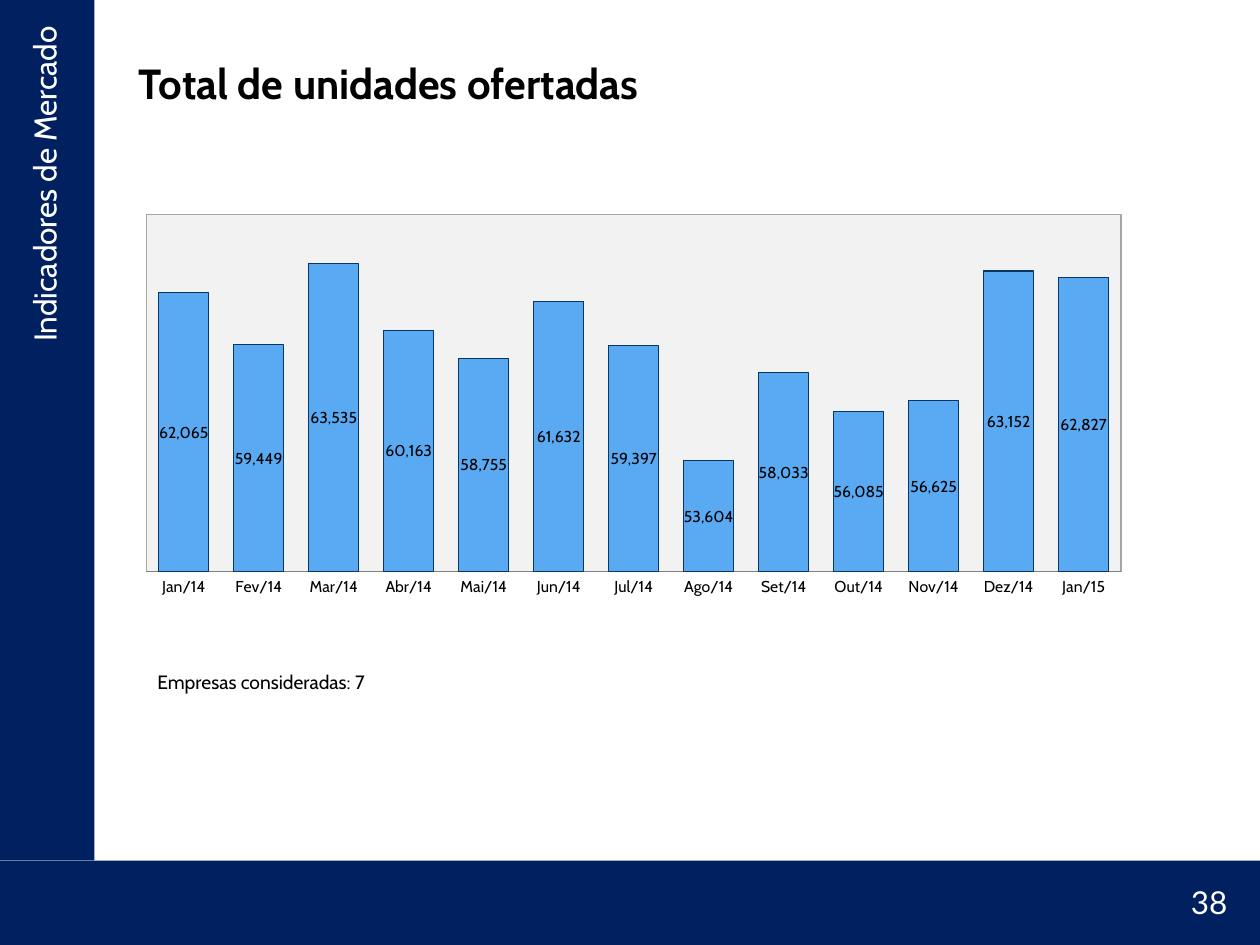
from dataclasses import dataclass

from lxml import etree
from pptx import Presentation
from pptx import util as u
from pptx.chart.data import CategoryChartData
from pptx.dml.color import RGBColor
from pptx.enum import chart as ch, shapes, text
from pptx.oxml.ns import qn

NAVY, WHITE, BLACK, GREY = "002060", "FFFFFF", "000000", "A6A6A6"
MONTHS = ["Jan/14", "Fev/14", "Mar/14", "Abr/14", "Mai/14", "Jun/14", "Jul/14",
          "Ago/14", "Set/14", "Out/14", "Nov/14", "Dez/14", "Jan/15"]
UNITS = [62065, 59449, 63535, 60163, 58755, 61632, 59397,
         53604, 58033, 56085, 56625, 63152, 62827]


@dataclass
class Box:
    left: float
    top: float
    width: float
    height: float

    def emu(self) -> list:
        return [u.Inches(v) for v in (self.left, self.top, self.width, self.height)]


@dataclass
class Label:
    box: Box
    text: str
    size: int
    color: str = BLACK
    font: str = "Cabin"
    align: text.PP_ALIGN = text.PP_ALIGN.LEFT
    rotation: int = 0
    wrap: bool = True


def rgb(color: str) -> RGBColor:
    return RGBColor.from_string(color)


def set_fill(fill, color: str) -> None:
    fill.solid()
    fill.fore_color.rgb = rgb(color)


def set_line(line, color: str) -> None:
    set_fill(line.fill, color)
    line.width = u.Pt(0.75)


def set_font(font, size: int, color: str = BLACK, name: str = "Cabin") -> None:
    font.size = u.Pt(size)
    font.name = name
    font.color.rgb = rgb(color)


def add_band(slide, box: Box) -> None:
    sp = slide.shapes.add_shape(shapes.MSO_SHAPE.RECTANGLE, *box.emu())
    sp.shadow.inherit = False
    set_fill(sp.fill, NAVY)
    sp.line.fill.background()


def add_label(slide, label: Label) -> None:
    sp = slide.shapes.add_textbox(*label.box.emu())
    sp.rotation = label.rotation
    tf = sp.text_frame
    tf.word_wrap = label.wrap
    p = tf.paragraphs[0]
    p.alignment = label.align
    r = p.add_run()
    r.text = label.text
    set_font(r.font, label.size, label.color, label.font)


def set_title(slide, box: Box, title: str) -> None:
    sp = slide.shapes.title
    sp.left, sp.top, sp.width, sp.height = box.emu()
    tf = sp.text_frame
    tf.vertical_anchor = text.MSO_ANCHOR.MIDDLE
    p = tf.paragraphs[0]
    p.alignment = text.PP_ALIGN.LEFT
    r = p.add_run()
    r.text = title
    set_font(r.font, 24)
    r.font.bold = True


def format_plot_area(chart, box: Box) -> None:
    """Place the inner plot area by chart fractions, with grey fill and border."""
    area = chart._chartSpace.chart.plotArea
    for old in area.findall(qn("c:layout")):
        area.remove(old)
    layout = etree.Element(qn("c:layout"))
    area.insert(0, layout)
    manual = etree.SubElement(layout, qn("c:manualLayout"))
    settings = [("layoutTarget", "inner"), ("xMode", "edge"), ("yMode", "edge"),
                ("x", box.left), ("y", box.top), ("w", box.width), ("h", box.height)]
    for tag, value in settings:
        etree.SubElement(manual, qn(f"c:{tag}")).set("val", str(value))
    props = etree.SubElement(area, qn("c:spPr"))
    line = etree.Element(qn("a:ln"), w=str(u.Pt(0.75)))
    for parent, color in ((props, "F2F2F2"), (line, GREY)):
        fill = etree.SubElement(parent, qn("a:solidFill"))
        etree.SubElement(fill, qn("a:srgbClr")).set("val", color)
    props.append(line)


def add_units_chart(slide, box: Box) -> None:
    data = CategoryChartData()
    data.categories = MONTHS
    data.add_series("Unidades ofertadas", UNITS)
    chart = slide.shapes.add_chart(
        ch.XL_CHART_TYPE.COLUMN_STACKED, *box.emu(), data).chart
    chart.has_legend = False
    chart.has_title = False
    set_font(chart.font, 10, name="Lato")

    # Axes
    values, months = chart.value_axis, chart.category_axis
    values.minimum_scale, values.maximum_scale = 48000, 66000
    values.has_major_gridlines = False
    values.visible = False
    months.major_tick_mark = ch.XL_TICK_MARK.NONE
    set_line(months.format.line, "808080")
    set_font(months.tick_labels.font, 9)

    # Columns and their values
    plot = chart.plots[0]
    plot.vary_by_categories = False
    plot.gap_width, plot.overlap = 50, 100
    series = plot.series[0]
    set_fill(series.format.fill, "59AAF2")
    set_line(series.format.line, "083763")
    labels = series.data_labels
    labels.show_value = True
    labels.number_format = "#,##0"
    labels.number_format_is_linked = False
    labels.position = ch.XL_LABEL_POSITION.CENTER
    set_font(labels.font, 9)
    format_plot_area(chart, Box(0.02, 0.02, 0.96, 0.9))


def main() -> None:
    prs = Presentation()
    prs.slide_width, prs.slide_height = u.Inches(10), u.Inches(7.5)
    slide = prs.slides.add_slide(prs.slide_layouts[5])

    # Frame
    add_band(slide, Box(0, 6.83, 10, 0.67))
    add_band(slide, Box(0, 0, 0.75, 6.83))

    # Content
    set_title(slide, Box(1, 0.22, 8.5, 0.87), "Total de unidades ofertadas")
    add_units_chart(slide, Box(1, 1.64, 8.06, 3.15))

    # Section name, note and page number
    right = text.PP_ALIGN.RIGHT
    for label in (
        Label(Box(-2.55, 2.81, 5.8, 0.4), "Indicadores de Mercado", 18, WHITE,
              align=right, rotation=270),
        Label(Box(1.15, 5.27, 2.12, 0.29), "Empresas consideradas: 7", 11, wrap=False),
        Label(Box(8.92, 6.96, 0.92, 0.4), "38", 18, WHITE, "Lato", right),
    ):
        add_label(slide, label)

    prs.save("out.pptx")


if __name__ == "__main__":
    main()
